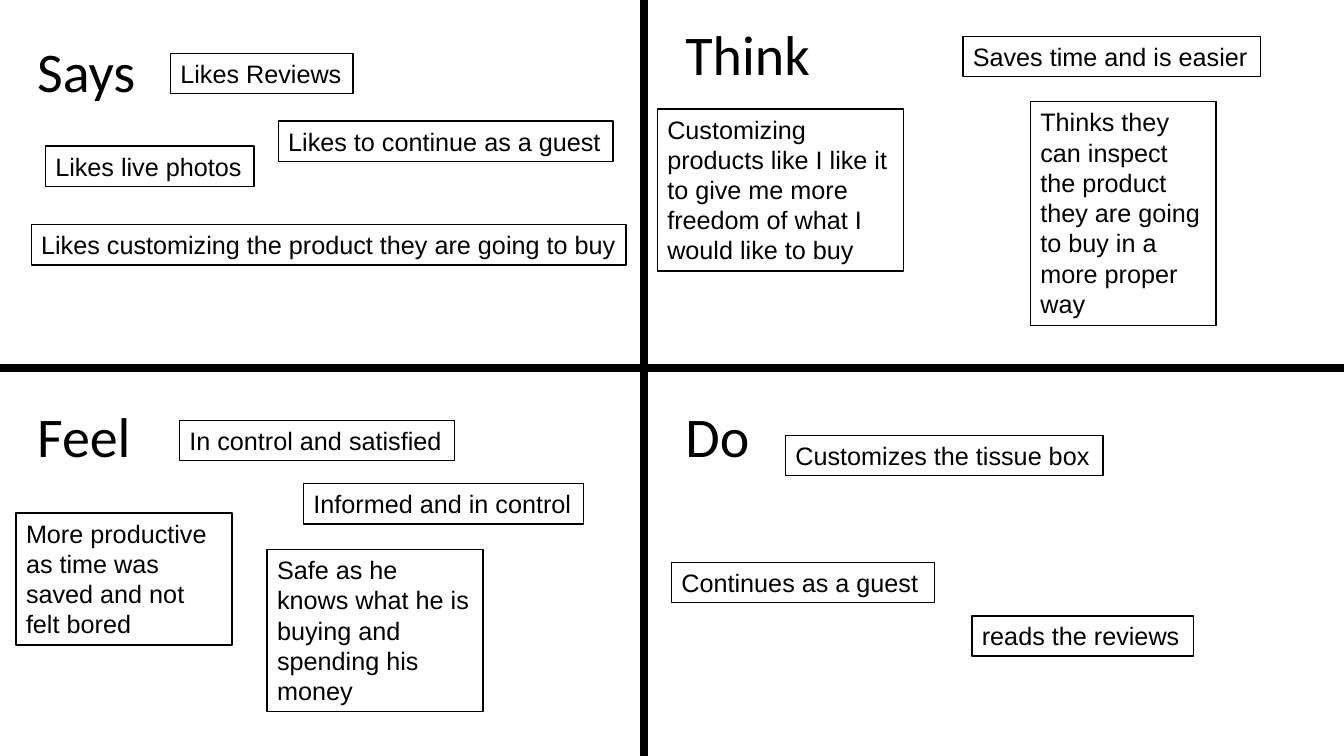
from dataclasses import dataclass

from lxml import etree
from pptx import Presentation
from pptx import util as u
from pptx.dml.color import RGBColor
from pptx.enum import shapes, text
from pptx.oxml import ns


@dataclass(frozen=True)
class Theme:
    ink: RGBColor = RGBColor(0, 0, 0)
    paper: RGBColor = RGBColor(255, 255, 255)
    heading_font: str = "Calibri"
    note_font: str = "Arial"
    heading_size: int = 40
    note_size: int = 18
    divider_width: int = 6
    border_width: int = 1


theme = Theme()

prs = Presentation()
prs.slide_width, prs.slide_height = u.Inches(13.33), u.Inches(7.5)
slide = prs.slides.add_slide(prs.slide_layouts[6])
slide.background.fill.solid()
slide.background.fill.fore_color.rgb = theme.paper


def add_text(content, left, top, width, height, *, font, size, border=None):
    sp = slide.shapes.add_textbox(*map(u.Inches, (left, top, width, height)))
    if border:
        sp.line.color.rgb = theme.ink
        sp.line.width = u.Pt(border)
    tf = sp.text_frame
    tf.word_wrap = True
    tf.auto_size = text.MSO_AUTO_SIZE.SHAPE_TO_FIT_TEXT
    r = tf.paragraphs[0].add_run()
    r.text = content
    r.font.name = font
    r.font.size = u.Pt(size)
    r.font.color.rgb = theme.ink


# Dividers between the four quadrants
for ends in [(6.39, -0.2, 6.39, 7.7), (0, 3.65, 13.33, 3.65)]:
    divider = slide.shapes.add_connector(
        shapes.MSO_CONNECTOR.STRAIGHT, *map(u.Inches, ends))
    divider.line.color.rgb = theme.ink
    divider.line.width = u.Pt(theme.divider_width)
    etree.SubElement(divider._element.spPr, ns.qn("a:effectLst"))

# Each quadrant: heading, its left, top and width, then its notes
# Each note: text, left, top, width, number of lines
quadrants = [
    ("Says", 0.27, 0.31, 1.29, [
        ("Likes Reviews", 1.69, 0.53, 1.81, 1),
        ("Likes live photos", 0.45, 1.45, 2.07, 1),
        ("Likes to continue as a guest", 2.76, 1.2, 3.32, 1),
        ("Likes customizing the product they are going to buy",
         0.31, 2.23, 5.9, 1),
    ]),
    ("Think", 6.7, 0.14, 1.59, [
        ("Customizing products like I like it to give me more freedom "
         "of what I would like to buy", 6.52, 1.08, 2.44, 5),
        ("Saves time and is easier", 9.55, 0.36, 2.95, 1),
        ("Thinks they can inspect the product they are going to buy "
         "in a more proper way", 10.22, 1.01, 1.84, 7),
    ]),
    ("Feel", 0.27, 3.93, 1.29, [
        ("In control and satisfied", 1.78, 4.17, 2.73, 1),
        ("More productive as time was saved and not felt bored",
         0.16, 5.09, 2.14, 4),
        ("Informed and in control", 3.01, 4.8, 2.78, 1),
        ("Safe as he knows what he is buying and spending his money",
         2.65, 5.45, 2.14, 5),
    ]),
    ("Do", 6.7, 3.93, 1.29, [
        ("Customizes the tissue box", 7.79, 4.32, 3.15, 1),
        ("Continues as a guest", 6.66, 5.58, 2.61, 1),
        ("reads the reviews", 9.64, 6.11, 2.2, 1),
    ]),
]

for heading, left, top, width, notes in quadrants:
    add_text(heading, left, top, width, 0.77,
             font=theme.heading_font, size=theme.heading_size)
    for note, note_left, note_top, note_width, lines in notes:
        add_text(note, note_left, note_top, note_width,
                 round(0.1 + 0.303 * lines, 2), font=theme.note_font,
                 size=theme.note_size, border=theme.border_width)

prs.save("out.pptx")
